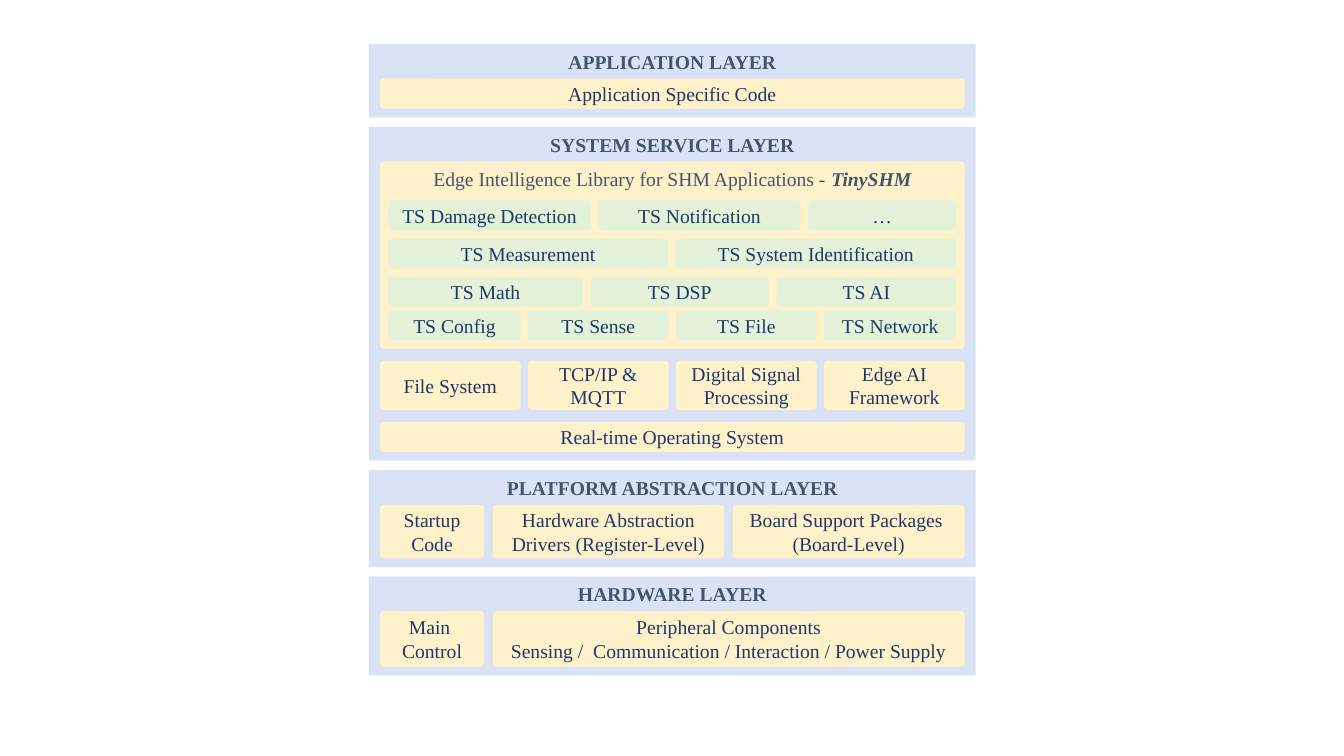
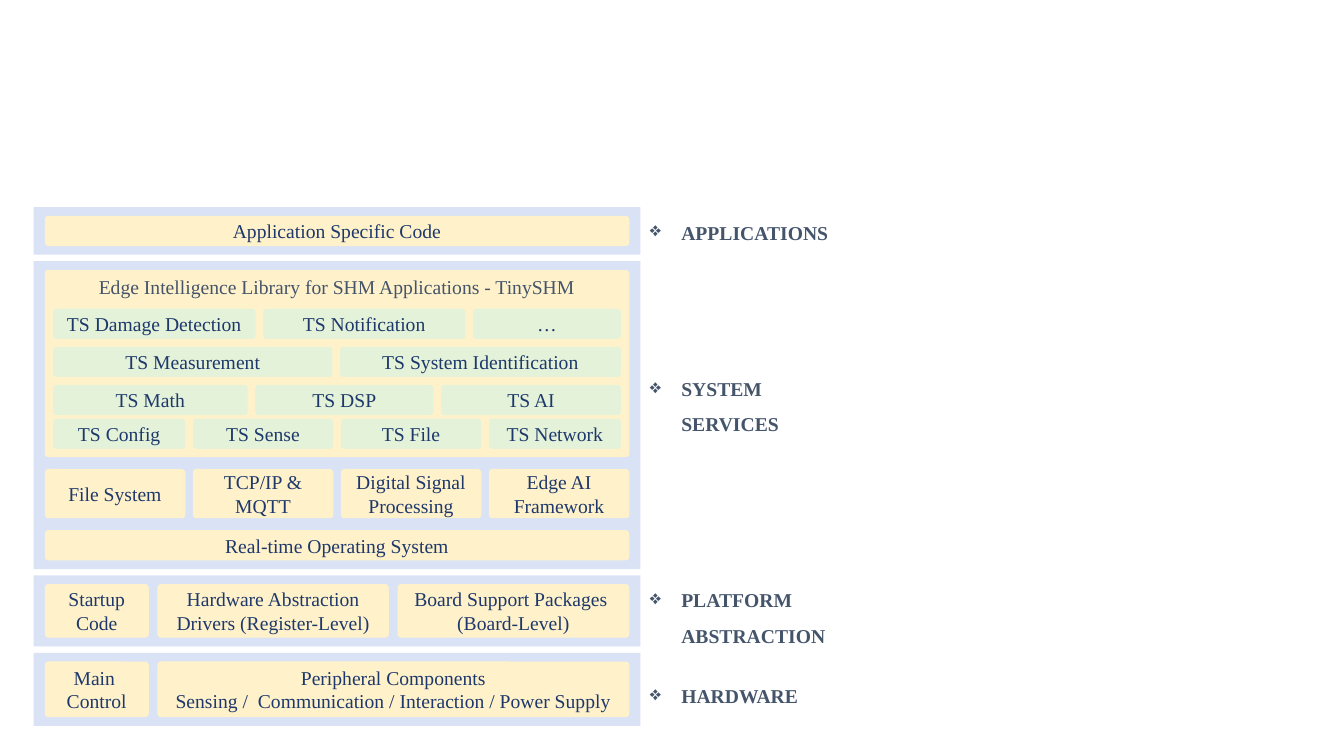
from lxml import etree
from pptx import Presentation
from pptx.dml.color import RGBColor
from pptx.enum.shapes import MSO_SHAPE
from pptx.enum.text import MSO_ANCHOR, PP_ALIGN
from pptx.oxml.ns import qn
from pptx.util import Cm, Pt

RECTANGLE = MSO_SHAPE.RECTANGLE
ROUNDED = MSO_SHAPE.ROUNDED_RECTANGLE
TOP, MIDDLE = MSO_ANCHOR.TOP, MSO_ANCHOR.MIDDLE
LEFT, CENTER = PP_ALIGN.LEFT, PP_ALIGN.CENTER

PANEL_BLUE = RGBColor(0xDA, 0xE3, 0xF5)
BLOCK_YELLOW = RGBColor(0xFF, 0xF2, 0xCA)
MODULE_GREEN = RGBColor(0xE3, 0xF2, 0xD9)
NAVY = RGBColor(0x1E, 0x38, 0x6B)
SLATE = RGBColor(0x44, 0x54, 0x6A)

FONT = "Times New Roman"
FONT_SIZE = Pt(14)

# All lengths below are centimetres.
CORNER_RADIUS = 0.09
PANEL_WIDTH = 15.29
PANEL_INSET = 0.28
PANEL_PADDING = 0.22
BLOCK_WIDTH = PANEL_WIDTH - 2 * PANEL_INSET
HEADING_HEIGHT = 0.87
ROW_HEIGHT = 0.76
NARROW_GAP, WIDE_GAP = 0.19, 0.22
NARROW_BLOCK = 2.62
QUARTER_BLOCK = (BLOCK_WIDTH - 3 * NARROW_GAP) / 4

LIBRARY_HEIGHT = 4.72
LIBRARY_INSET = 0.21
LIBRARY_TITLE = "Edge Intelligence Library for SHM Applications - "
LIBRARY_NAME = "TinySHM"
SERVICES_TOP, SERVICES_HEIGHT = 5.02, 1.24
OPERATING_SYSTEM_TOP = 6.56

# Top within the library, widths of all modules but the last, names.
MODULE_ROWS = [
    (0.98, [5.1, 5.1], ["TS Damage Detection", "TS Notification", "…"]),
    (1.94, [7.04], ["TS Measurement", "TS System Identification"]),
    (2.9, [4.9, 4.5], ["TS Math", "TS DSP", "TS AI"]),
    (3.75, [3.33, 3.54, 3.54],
     ["TS Config", "TS Sense", "TS File", "TS Network"]),
]
SERVICES = ["File System", "TCP/IP & MQTT", "Digital Signal Processing",
            "Edge AI Framework"]
PLATFORM_BLOCKS = ["Startup Code",
                   "Hardware Abstraction Drivers (Register-Level)",
                   "Board Support Packages \n(Board-Level)"]
HARDWARE_BLOCKS = ["Main \nControl",
                   "Peripheral Components\n"
                   "Sensing /  Communication / Interaction / Power Supply"]

LABEL_LEFT, LABEL_WIDTH, LABEL_INDENT = 16.13, 8.03, 0.79
LABEL_LINE = 0.92
LABELS = [(5.13, "APPLICATIONS"), (9.07, "SYSTEM\nSERVICES"),
          (14.4, "PLATFORM\nABSTRACTION"), (16.81, "HARDWARE")]


def write_text(shape, text, color=NAVY, bold=False, emphasis="",
               align=CENTER, anchor=MIDDLE, margin=0.0, line_spacing=None):
    """Write one paragraph per line; emphasis follows in bold italics."""
    frame = shape.text_frame
    frame.word_wrap = True
    frame.vertical_anchor = anchor
    frame.margin_top = frame.margin_bottom = Cm(margin)
    for index, line in enumerate(text.split("\n")):
        paragraph = frame.add_paragraph() if index else frame.paragraphs[0]
        paragraph.alignment = align
        paragraph.line_spacing = line_spacing
        paragraph.add_run().text = line
    if emphasis:
        run = paragraph.add_run()
        run.text = emphasis
        run.font.italic = True
    for paragraph in frame.paragraphs:
        for run in paragraph.runs:
            font = run.font
            font.name, font.size = FONT, FONT_SIZE
            font.bold = bold or bool(font.italic)
            font.color.rgb = color


def indent_label(paragraph, bullet):
    properties = paragraph._p.get_or_add_pPr()
    properties.set("marL", str(Cm(LABEL_INDENT)))
    if bullet:
        properties.set("indent", str(-Cm(LABEL_INDENT)))
        etree.SubElement(properties, qn("a:buChar")).set("char", bullet)


class LayerDiagram:
    """Holds the presentation, the current slide and its stack's left edge."""

    def __init__(self):
        self.presentation = Presentation()
        self.presentation.slide_width = Cm(33.87)
        self.presentation.slide_height = Cm(19.05)
        self.slide = None
        self.left = 0

    def new_slide(self, left):
        layout = self.presentation.slide_layouts[6]
        self.slide = self.presentation.slides.add_slide(layout)
        self.left = left

    def box(self, left, top, width, height, fill, kind=ROUNDED):
        shape = self.slide.shapes.add_shape(
            kind, Cm(left), Cm(top), Cm(width), Cm(height))
        shape.shadow.inherit = False
        shape.fill.solid()
        shape.fill.fore_color.rgb = fill
        shape.line.fill.background()
        if kind == ROUNDED:
            shape.adjustments[0] = CORNER_RADIUS / min(width, height)
        return shape

    def text(self, left, top, width, height, text, **text_format):
        shape = self.slide.shapes.add_textbox(
            Cm(left), Cm(top), Cm(width), Cm(height))
        write_text(shape, text, **text_format)
        return shape

    def row(self, top, height, names, widths=(), gap=NARROW_GAP,
            inset=PANEL_INSET, fill=BLOCK_YELLOW):
        """Place boxes side by side; the last one takes the width left."""
        left = self.left + inset
        right = self.left + PANEL_WIDTH - inset
        for index, name in enumerate(names):
            width = widths[index] if index < len(widths) else right - left
            write_text(self.box(left, top, width, height, fill), name)
            left += width + gap

    def library(self, top, emphasized):
        left = self.left + PANEL_INSET
        self.box(left, top, BLOCK_WIDTH, LIBRARY_HEIGHT, BLOCK_YELLOW)
        title, emphasis = LIBRARY_TITLE, LIBRARY_NAME
        if not emphasized:
            title, emphasis = title + emphasis, ""
        self.text(left, top, BLOCK_WIDTH, HEADING_HEIGHT, title,
                  color=SLATE, emphasis=emphasis)
        for offset, widths, names in MODULE_ROWS:
            self.row(top + offset, ROW_HEIGHT, names, widths,
                     inset=PANEL_INSET + LIBRARY_INSET, fill=MODULE_GREEN)

    def application(self, top, headed):
        self.row(top, ROW_HEIGHT, ["Application Specific Code"])

    def system(self, top, headed):
        self.library(top, emphasized=headed)
        self.row(top + SERVICES_TOP, SERVICES_HEIGHT, SERVICES,
                 [QUARTER_BLOCK] * 3)
        self.row(top + OPERATING_SYSTEM_TOP, ROW_HEIGHT,
                 ["Real-time Operating System"])

    def platform(self, top, headed):
        self.row(top, 1.35, PLATFORM_BLOCKS, [NARROW_BLOCK, 5.83], WIDE_GAP)

    def hardware(self, top, headed):
        self.row(top, 1.4, HARDWARE_BLOCKS, [NARROW_BLOCK], WIDE_GAP)

    def stack(self, top, gap, headed):
        """Draw the four layers downwards, with or without headings."""
        layers = [
            ("APPLICATION LAYER", ROW_HEIGHT, self.application),
            ("SYSTEM SERVICE LAYER", OPERATING_SYSTEM_TOP + ROW_HEIGHT,
             self.system),
            ("PLATFORM ABSTRACTION LAYER", 1.35, self.platform),
            ("HARDWARE LAYER", 1.4, self.hardware),
        ]
        header = HEADING_HEIGHT if headed else PANEL_PADDING
        for heading, content_height, draw_content in layers:
            height = header + content_height + PANEL_PADDING
            self.box(self.left, top, PANEL_WIDTH, height, PANEL_BLUE,
                     RECTANGLE)
            if headed:
                self.text(self.left, top, PANEL_WIDTH, HEADING_HEIGHT,
                          heading, color=SLATE, bold=True)
            draw_content(top + header, headed)
            top += height + gap

    def label(self, top, text):
        height = 0.12 + LABEL_LINE * len(text.split("\n"))
        shape = self.text(LABEL_LEFT, top, LABEL_WIDTH, height, text,
                          color=SLATE, bold=True, align=LEFT, anchor=TOP,
                          margin=0.13, line_spacing=1.5)
        for index, paragraph in enumerate(shape.text_frame.paragraphs):
            indent_label(paragraph, bullet="" if index else "❖")


def main():
    diagram = LayerDiagram()

    diagram.new_slide(left=9.3)
    diagram.stack(top=1.11, gap=0.24, headed=True)

    diagram.new_slide(left=0.85)
    diagram.stack(top=5.22, gap=0.16, headed=False)
    for top, text in LABELS:
        diagram.label(top, text)

    diagram.presentation.save("out.pptx")


if __name__ == "__main__":
    main()
